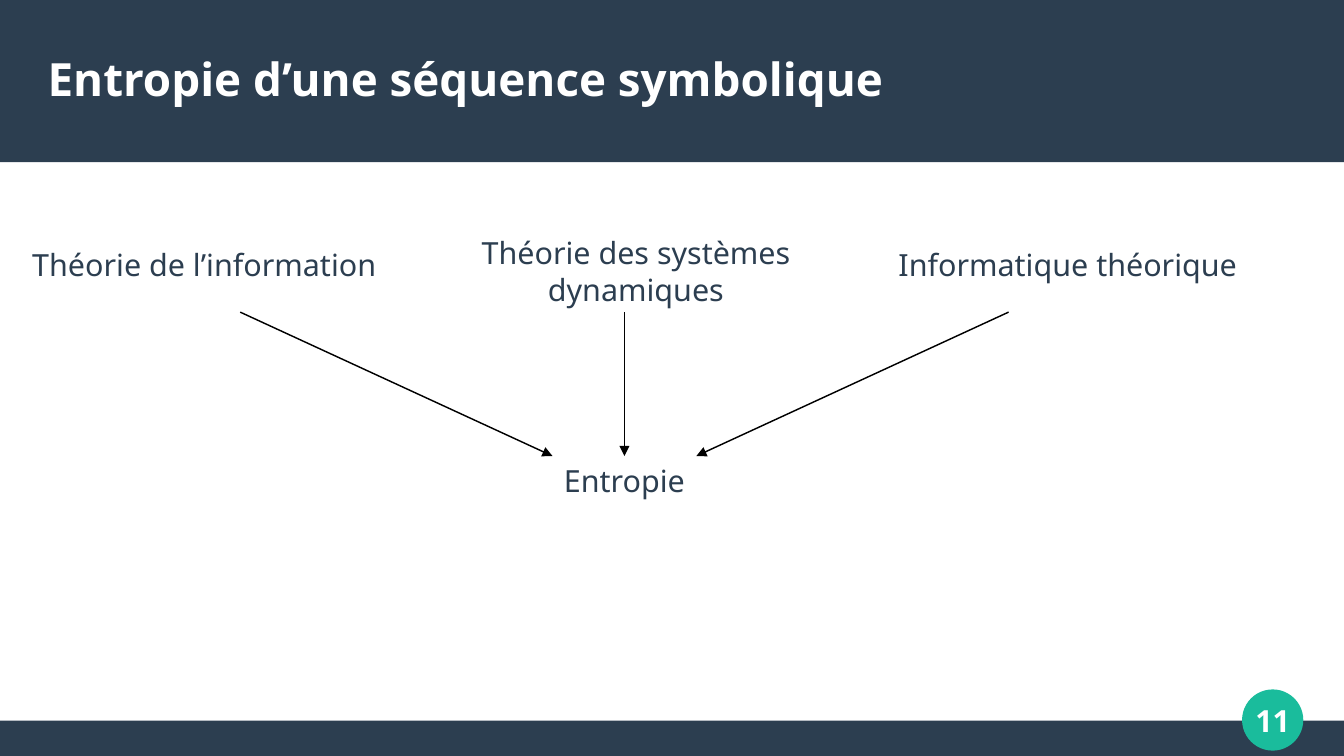
from lxml import etree
from pptx import Presentation
from pptx.dml.color import RGBColor
from pptx.enum.shapes import MSO_CONNECTOR, MSO_SHAPE
from pptx.enum.text import MSO_ANCHOR, MSO_AUTO_SIZE, PP_ALIGN
from pptx.oxml.ns import qn
from pptx.util import Inches, Pt

NAVY = RGBColor(0x2C, 0x3E, 0x50)
GREEN = RGBColor(0x1A, 0xBC, 0x9C)
WHITE = RGBColor(0xFF, 0xFF, 0xFF)
BLACK = RGBColor(0, 0, 0)
RECT, OVAL = MSO_SHAPE.RECTANGLE, MSO_SHAPE.OVAL
STRAIGHT = MSO_CONNECTOR.STRAIGHT
MIDDLE = MSO_ANCHOR.MIDDLE
NO_FIT = MSO_AUTO_SIZE.NONE
LEFT, CENTER = PP_ALIGN.LEFT, PP_ALIGN.CENTER
FONT = "Noto Sans"

deck = Presentation()
deck.slide_width, deck.slide_height = Inches(11.02), Inches(6.2)
slide = deck.slides.add_slide(deck.slide_layouts[5])
shapes = slide.shapes


def write(text, at, box=None, size=18, color=NAVY, bold=False, align=CENTER, pad=(0.1, 0.05)):
    if box is None:
        box = shapes.add_textbox(0, 0, 0, 0)
    box.left, box.top, box.width, box.height = map(Inches, at)
    frame = box.text_frame
    frame.word_wrap = True
    frame.auto_size = NO_FIT
    frame.vertical_anchor = MIDDLE
    frame.margin_left = frame.margin_right = Inches(pad[0])
    frame.margin_top = frame.margin_bottom = Inches(pad[1])
    line = frame.paragraphs[0]
    line.alignment = align
    run = line.add_run()
    run.text = text
    run.font.name = FONT
    run.font.size = Pt(size)
    run.font.bold = bold
    run.font.color.rgb = color


for kind, at, color in [
    (RECT, (0, 5.91, 11.02, 0.29), NAVY),
    (RECT, (0, 0, 11.02, 1.33), NAVY),
    (OVAL, (10.19, 5.66, 0.49, 0.49), GREEN),
]:
    shape = shapes.add_shape(kind, *map(Inches, at))
    shape.shadow.inherit = False
    shape.fill.solid()
    shape.fill.fore_color.rgb = color
    if kind == OVAL:
        shape.line.color.rgb = color
        shape.line.width = Pt(0.85)
    else:
        shape.line.fill.background()

write("11", (10.04, 5.61, 0.79, 0.59), color=WHITE, bold=True, pad=(0, 0))

title = shapes.title
shapes[-1].element.addnext(title.element)
write("Entropie d’une séquence symbolique", (0.39, 0.25, 10.24, 0.79), box=title,
      size=27, color=WHITE, bold=True, align=LEFT, pad=(0, 0))

for text, at in [
    ("Théorie de l’information", (-0.39, 1.95, 4.13, 0.44)),
    ("Théorie des systèmes dynamiques", (3.15, 1.83, 4.13, 0.78)),
    ("Informatique théorique", (6.69, 1.95, 4.13, 0.44)),
    ("Entropie", (3.15, 3.72, 3.94, 0.44)),
]:
    write(text, at)

MID = 5.12
for side in (-1, 0, 1):
    start, end = MID + side * 3.15, MID + side * 0.59
    arrow = shapes.add_connector(STRAIGHT, *map(Inches, (start, 2.56, end, 3.74)))
    arrow.line.color.rgb = BLACK
    arrow.line.width = Pt(0.85)
    tip = etree.SubElement(arrow.line._get_or_add_ln(), qn("a:tailEnd"))
    tip.set("type", "triangle")
    etree.SubElement(arrow.element.spPr, qn("a:effectLst"))

deck.save("out.pptx")
